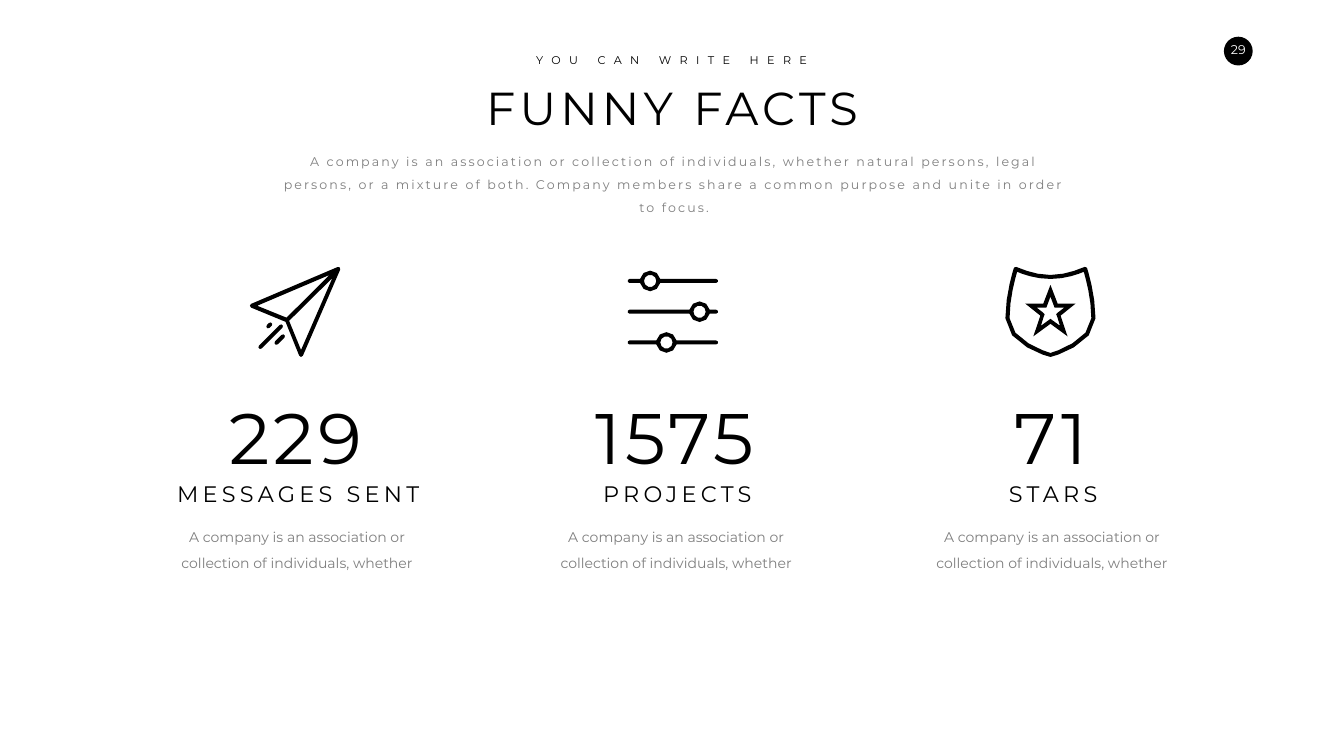
from math import asin, cos, degrees, radians, sin

from pptx import Presentation
from pptx.dml.color import RGBColor
from pptx.enum.shapes import MSO_SHAPE as Shape
from pptx.enum.text import MSO_AUTO_SIZE as AutoSize, PP_ALIGN as Align
from pptx.util import Cm, Pt

BLACK, GREY, WHITE = "000000", "7F7F7F", "FFFFFF"
STROKE = 0.1  # half the thickness of an icon line, in cm
ICON_X, ICON_Y, ICON_STEP = 14.87, 15.71, 19.03

FORMATS = {
    "badge": {"size": 18, "color": WHITE},
    "eyebrow": {"size": 16, "color": BLACK, "spacing": 12},
    "title": {"size": 66, "color": BLACK, "spacing": 6},
    "intro": {"size": 18, "color": GREY, "spacing": 3, "leading": 1.5},
    "number": {"size": 102, "color": BLACK, "spacing": 6},
    "label": {"size": 32, "color": BLACK, "spacing": 6},
    "body": {"size": 20, "color": GREY, "leading": 1.5},
}

INTRO = ("A company is an association or collection of individuals, whether "
         "natural persons, legal persons, or a mixture of both. Company members "
         "share a common purpose and unite in order to focus.")
BODY = "A company is an association or collection of individuals, whether"

# Text centre, number, number width, label, label width
FACTS = [
    (14.9, "229", 7.67, "MESSAGES SENT", 12.98),
    (34.0, "1575", 9.04, "PROJECTS", 8.2),
    (52.94, "71", 4.42, "STARS", 5.31),
]


def color(value):
    return RGBColor.from_string(value)


def paint(shape, value):
    shape.fill.solid()
    shape.fill.fore_color.rgb = color(value)
    shape.line.fill.background()
    shape.shadow.inherit = False


def add_text(page, text, style, center, top, width, height, wrap=True, inset=None):
    look = FORMATS[style]
    box = page.shapes.add_textbox(Cm(center - width / 2), Cm(top), Cm(width), Cm(height))
    frame = box.text_frame
    frame.word_wrap = wrap
    frame.auto_size = AutoSize.SHAPE_TO_FIT_TEXT
    if inset:
        for side, length in inset.items():
            setattr(frame, f"margin_{side}", Cm(length))
    para = frame.paragraphs[0]
    para.alignment = Align.CENTER
    para.line_spacing = look.get("leading")
    span = para.add_run()
    span.text = text
    for name, value in {"name": "Montserrat", "size": Pt(look["size"])}.items():
        setattr(span.font, name, value)
    span.font.color.rgb = color(look["color"])
    if "spacing" in look:
        span.font._element.set("spc", str(look["spacing"] * 100))


# Outline helpers: points in cm around the icon centre
def arc(x, y, radius, start, end):
    step = 60 if radius <= STROKE else 36
    steps = max(2, round(abs(end - start) / step))
    angles = [radians(start + (end - start) * i / steps) for i in range(steps + 1)]
    return [(x + radius * cos(a), y + radius * sin(a)) for a in angles]


def curve(a, b, c, d, steps=4):
    """Points along a cubic curve, without its end point."""
    points = []
    for i in range(steps):
        t = i / steps
        weights = ((1 - t) ** 3, 3 * t * (1 - t) ** 2, 3 * t * t * (1 - t), t ** 3)
        points.append(tuple(sum(w * p[axis] for w, p in zip(weights, (a, b, c, d)))
                            for axis in (0, 1)))
    return points


def mirror(half):
    """Close a right half that starts and ends on the axis."""
    return half + [(-x, y) for x, y in reversed(half[1:-1])]


def plane_outlines():
    outer = (arc(2.18, -2.16, STROKE, -113, 23) + arc(0.3, 2.18, STROKE, 23, 159)
             + [(-0.48, 0.51)] + arc(-2.18, -0.3, STROKE, 111, 247))
    wings = [[(0.3, 1.93), (-0.3, 0.46), (1.88, -1.7)],
             [(-1.91, -0.3), (1.73, -1.85), (-0.43, 0.3)]]
    # Each trail runs up and right from its lower end
    trails = [arc(x, y, STROKE, 45, 225) + arc(x + run, y - run, STROKE, 225, 405)
              for x, y, run in [(-0.94, 1.57, 0.33), (-1.75, 1.78, 1.04), (-1.35, 0.74, 0.1)]]
    return [outer, *wings, *trails]


def slider_outlines():
    end, knob, hole, gap = 2.18, 0.52, 0.31, 1.55
    joint = degrees(asin(STROKE / knob))
    outlines = []
    for row, x in enumerate((-1.14, 1.35, -0.32)):
        y = (row - 1) * gap
        outlines.append(arc(-end, y, STROKE, 90, 270)
                        + arc(x, y, knob, 180 + joint, 360 - joint)
                        + arc(end, y, STROKE, 270, 450)
                        + arc(x, y, knob, joint, 180 - joint))
        outlines.append(arc(x, y, hole, 0, 360)[:-1])
    return outlines


def shield_outlines():
    outer = (curve((0, -1.85), (0.89, -1.85), (1.7, -2.26), (1.7, -2.26))
             + arc(1.75, -2.16, STROKE, -110, -15)
             + curve((1.85, -2.18), (1.85, -2.18), (2.27, -0.91), (2.27, 0.33))
             + curve((2.27, 0.33), (2.27, 1.65), (0.1, 2.28), (0, 2.28)) + [(0, 2.28)])
    inner = (curve((0, -1.65), (0.76, -1.65), (1.42, -1.9), (1.68, -2.01))
             + curve((1.68, -2.01), (1.78, -1.65), (2.06, -0.69), (2.06, 0.33))
             + curve((2.06, 0.33), (2.06, 1.42), (0.2, 2.03), (0, 2.08)) + [(0, 2.08)])
    star = [(0, -1.35), (0.36, -0.41), (1.27, -0.41), (0.51, 0.2), (0.86, 1.24), (0, 0.61)]
    star_hole = [(0, -0.76), (0.16, -0.33), (0.21, -0.2), (0.69, -0.2), (0.39, 0.03),
                 (0.29, 0.13), (0.34, 0.25), (0.48, 0.71), (0, 0.36)]
    return [mirror(half) for half in (outer, inner, star, star_hole)]


def add_icon(page, outlines, x, y):
    contours = [[(Cm(x + dx), Cm(y + dy)) for dx, dy in outline] for outline in outlines]
    first, *others = contours
    builder = page.shapes.build_freeform(*first[0])
    builder.add_line_segments(first[1:], close=True)
    for contour in others:
        builder.move_to(*contour[0])
        builder.add_line_segments(contour[1:], close=True)
    paint(builder.convert_to_shape(), BLACK)


def add_fact(page, center, number, number_width, label, label_width):
    add_text(page, number, "number", center, 19.71, number_width, 4.62, wrap=False)
    add_text(page, label, "label", center + 0.13, 24.08, label_width, 1.63, wrap=False)
    add_text(page, BODY, "body", center + 0.07, 26.11, 13.32, 2.82)


def main():
    deck = Presentation()
    deck.slide_width, deck.slide_height = Cm(67.72), Cm(38.1)
    page = deck.slides.add_slide(deck.slide_layouts[6])

    # Page number
    badge = page.shapes.add_shape(Shape.OVAL, Cm(61.67), Cm(1.85), Cm(1.45), Cm(1.45))
    paint(badge, BLACK)
    add_text(page, "29", "badge", 62.4, 1.85, 2.18, 1.3, wrap=False,
             inset={"left": 0.5, "top": 0.25, "right": 0.5, "bottom": 0.25})

    # Heading
    add_text(page, "FUNNY FACTS", "title", 33.87, 3.86, 29.79, 3.07)
    add_text(page, "YOU CAN WRITE HERE", "eyebrow", 33.85, 2.57, 17.4, 0.94)
    add_text(page, INTRO, "intro", 33.97, 7.26, 40.72, 2.57)

    # Facts with their icons
    icons = (plane_outlines(), slider_outlines(), shield_outlines())
    for column, (outlines, fact) in enumerate(zip(icons, FACTS)):
        add_icon(page, outlines, ICON_X + column * ICON_STEP, ICON_Y)
        add_fact(page, *fact)

    deck.save("out.pptx")


if __name__ == "__main__":
    main()
